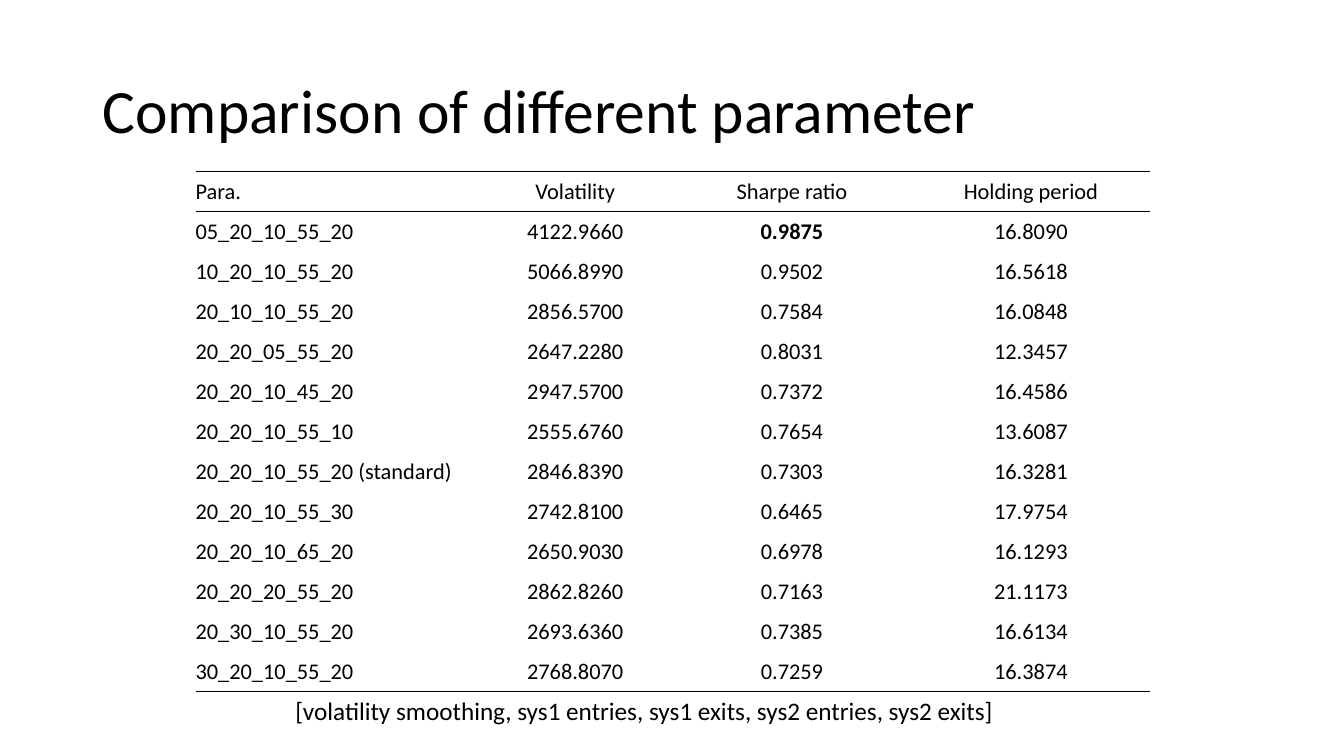
"""Build a slide comparing trading results for different parameter sets."""
from dataclasses import dataclass

from lxml import etree
from pptx import Presentation
from pptx.dml.color import RGBColor
from pptx.enum.text import MSO_ANCHOR, PP_ALIGN
from pptx.oxml.ns import qn
from pptx.util import Inches, Pt

LEFT, CENTER = PP_ALIGN.LEFT, PP_ALIGN.CENTER
TOP, MIDDLE = MSO_ANCHOR.TOP, MSO_ANCHOR.MIDDLE
COLORS = {"text": "000000", "rule": "000000"}
FONT = "Calibri"
RULE_WIDTH = Pt(1)
ROW_HEIGHT = 0.397


@dataclass(frozen=True)
class Caption:
    text: str
    left: float
    top: float
    width: float
    height: float
    size: int
    anchor: MSO_ANCHOR
    line_spacing: float


@dataclass(frozen=True)
class Column:
    heading: str
    width: float
    align: PP_ALIGN


@dataclass(frozen=True)
class Result:
    parameters: str
    volatility: str
    sharpe_ratio: str
    holding_period: str

    def values(self) -> list[str]:
        return [self.parameters, self.volatility, self.sharpe_ratio, self.holding_period]


CAPTIONS = [
    Caption("Comparison of different parameter", 0.92, 0.4, 11.5, 1.45, 44, MIDDLE, 0.9),
    Caption("[volatility smoothing, sys1 entries, sys1 exits, sys2 entries, sys2 exits]",
            2.83, 6.85, 9.88, 0.4, 18, TOP, 1.0),
]
COLUMNS = [
    Column("Para.", 2.8, LEFT),
    Column("Volatility", 1.93, CENTER),
    Column("Sharpe ratio", 2.37, CENTER),
    Column("Holding period", 2.37, CENTER),
]
RESULTS = [
    Result("05_20_10_55_20", "4122.9660", "0.9875", "16.8090"),
    Result("10_20_10_55_20", "5066.8990", "0.9502", "16.5618"),
    Result("20_10_10_55_20", "2856.5700", "0.7584", "16.0848"),
    Result("20_20_05_55_20", "2647.2280", "0.8031", "12.3457"),
    Result("20_20_10_45_20", "2947.5700", "0.7372", "16.4586"),
    Result("20_20_10_55_10", "2555.6760", "0.7654", "13.6087"),
    Result("20_20_10_55_20 (standard)", "2846.8390", "0.7303", "16.3281"),
    Result("20_20_10_55_30", "2742.8100", "0.6465", "17.9754"),
    Result("20_20_10_65_20", "2650.9030", "0.6978", "16.1293"),
    Result("20_20_20_55_20", "2862.8260", "0.7163", "21.1173"),
    Result("20_30_10_55_20", "2693.6360", "0.7385", "16.6134"),
    Result("30_20_10_55_20", "2768.8070", "0.7259", "16.3874"),
]
BEST_SHARPE = max(result.sharpe_ratio for result in RESULTS)


def write(frame, text: str, size: int, align: PP_ALIGN, bold: bool = False) -> None:
    frame.text = text
    paragraph = frame.paragraphs[0]
    paragraph.alignment = align
    font = paragraph.runs[0].font
    font.name, font.size, font.bold = FONT, Pt(size), bold
    font.color.rgb = RGBColor.from_string(COLORS["text"])


def add_caption(slide, caption: Caption) -> None:
    box = slide.shapes.add_textbox(Inches(caption.left), Inches(caption.top),
                                   Inches(caption.width), Inches(caption.height))
    frame = box.text_frame
    frame.word_wrap = True
    frame.vertical_anchor = caption.anchor
    write(frame, caption.text, caption.size, LEFT)
    frame.paragraphs[0].line_spacing = caption.line_spacing


def set_borders(cell, ruled: set[str]) -> None:
    properties = cell._tc.get_or_add_tcPr()
    for side in ("lnL", "lnR", "lnT", "lnB"):
        line = etree.SubElement(properties, qn(f"a:{side}"), w=str(RULE_WIDTH))
        if side in ruled:
            fill = etree.SubElement(line, qn("a:solidFill"))
            etree.SubElement(fill, qn("a:srgbClr"), val=COLORS["rule"])
        else:
            etree.SubElement(line, qn("a:noFill"))


def add_results(slide) -> None:
    rows = [[column.heading for column in COLUMNS]] + [result.values() for result in RESULTS]
    last = len(rows) - 1
    table = slide.shapes.add_table(
        len(rows), len(COLUMNS), Inches(1.94), Inches(1.7),
        Inches(sum(column.width for column in COLUMNS)), Inches(ROW_HEIGHT * len(rows))).table
    table.first_row = table.horz_banding = False
    for grid_column, column in zip(table.columns, COLUMNS):
        grid_column.width = Inches(column.width)
    rules = {0: {"lnT", "lnB"}, 1: {"lnT"}, last: {"lnB"}}
    for row, values in enumerate(rows):
        for index, (value, column) in enumerate(zip(values, COLUMNS)):
            cell = table.cell(row, index)
            set_borders(cell, rules.get(row, set()))
            cell.fill.background()
            cell.margin_left = cell.margin_right = cell.margin_top = cell.margin_bottom = 0
            cell.vertical_anchor = MIDDLE
            write(cell.text_frame, value, 16, column.align, value == BEST_SHARPE)


def main() -> None:
    presentation = Presentation()
    presentation.slide_width = Inches(13.33)
    presentation.slide_height = Inches(7.5)
    slide = presentation.slides.add_slide(presentation.slide_layouts[6])
    title, legend = CAPTIONS
    add_caption(slide, title)
    add_results(slide)
    add_caption(slide, legend)
    presentation.save("out.pptx")


main()
